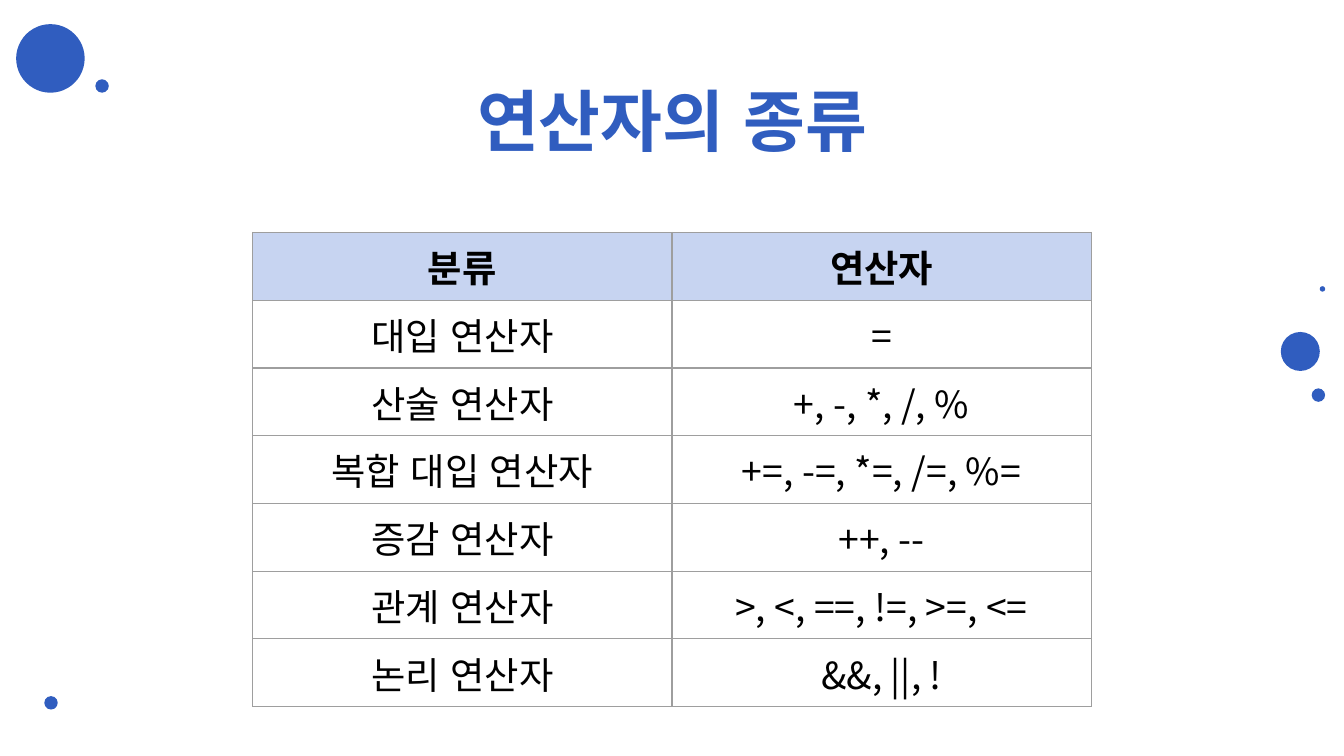
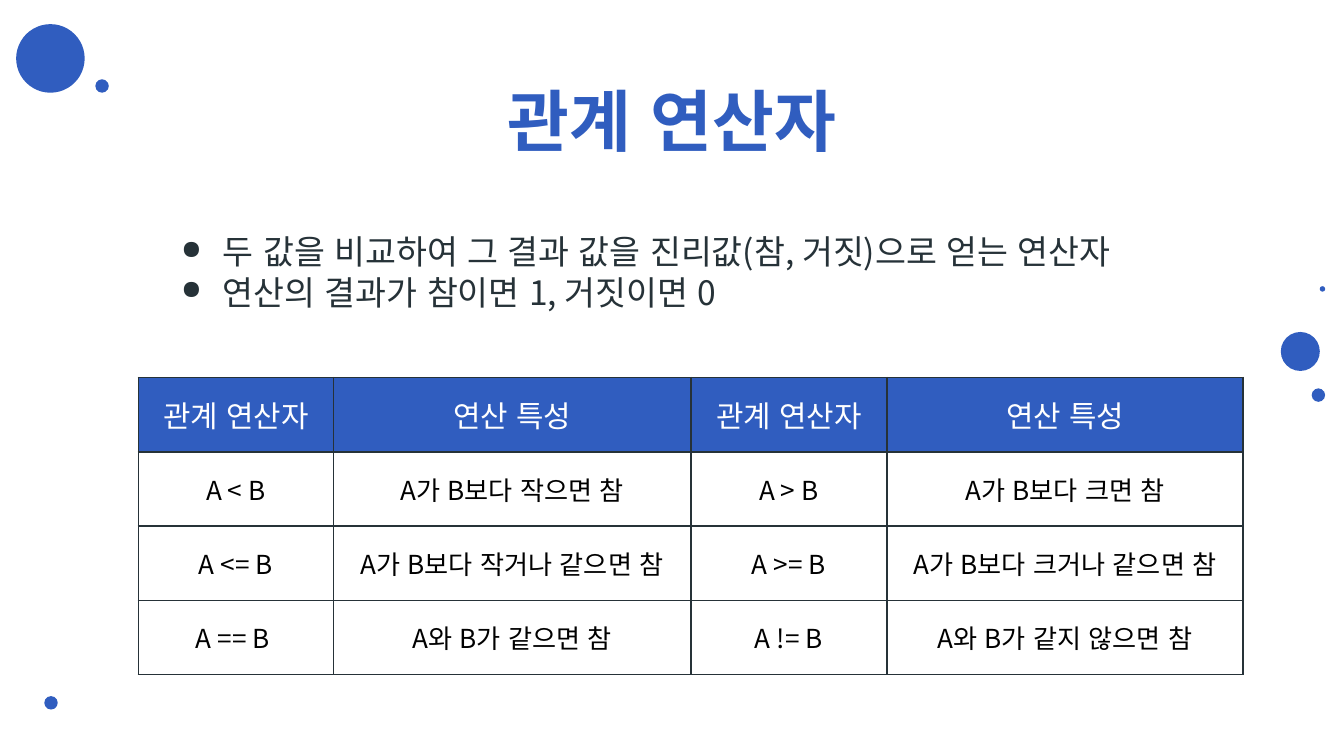
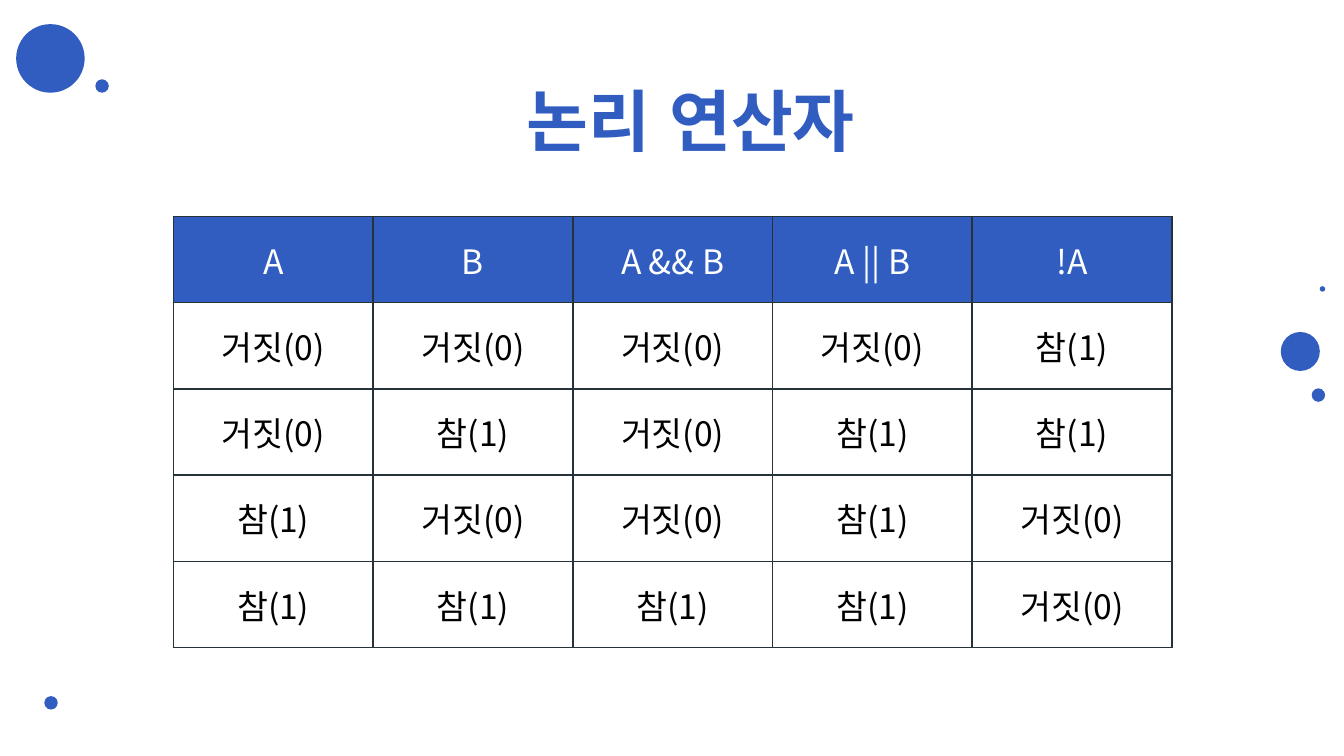
import lxml.etree
import pptx
import pptx.dml.color
import pptx.enum.shapes
import pptx.enum.text
import pptx.oxml
import pptx.oxml.ns
import pptx.util

Inches = pptx.util.Inches
RGB = pptx.dml.color.RGBColor
qn = pptx.oxml.ns.qn

BLUE = RGB(0x30, 0x5D, 0xBF)
PALE = RGB(0xC7, 0xD4, 0xF1)
GRAY = RGB(0x9E, 0x9E, 0x9E)
DARK = RGB(0x26, 0x32, 0x38)
BLACK = RGB(0, 0, 0)
WHITE = RGB(0xFF, 0xFF, 0xFF)
FONT = "Noto Sans CJK KR"
CENTER = pptx.enum.text.PP_ALIGN.CENTER
MIDDLE = pptx.enum.text.MSO_ANCHOR.MIDDLE
OVAL = pptx.enum.shapes.MSO_SHAPE.OVAL

DOTS = [
    (0.12, 0.18, 0.51),
    (0.71, 0.59, 0.1),
    (9.53, 2.47, 0.29),
    (9.76, 2.89, 0.1),
    (9.82, 2.13, 0.04),
    (0.33, 5.18, 0.1),
]


def style(para, size, color, bold=False):
    font = para.font
    font.name = FONT
    font.size = pptx.util.Pt(size)
    font.bold = bold
    font.color.rgb = color
    props = para._p.pPr.find(qn("a:defRPr"))
    props.set("lang", "ko")
    lxml.etree.SubElement(props, qn("a:ea"), typeface=FONT)


def add_text(slide, left, top, width, height, lines):
    frame = slide.shapes.add_textbox(
        Inches(left), Inches(top), Inches(width), Inches(height)).text_frame
    frame.word_wrap = True
    frame.margin_left = frame.margin_right = Inches(0.1)
    frame.margin_top = frame.margin_bottom = Inches(0.1)
    frame.text = "\n".join(lines)
    return frame.paragraphs


pages = [
    {
        "title": "연산자의 종류", "span": (0.75, 8.5), "notes": [],
        "at": (1.88, 1.73), "cols": [3.12] * 2, "tall": 3.53,
        "line": (GRAY, 0.75), "head": (20, BLACK, True, PALE), "size": 20,
        "rows": [
            ["분류", "연산자"],
            ["대입 연산자", "="],
            ["산술 연산자", "+, -, *, /, %"],
            ["복합 대입 연산자", "+=, -=, *=, /=, %="],
            ["증감 연산자", "++, --"],
            ["관계 연산자", ">, <, ==, !=, >=, <="],
            ["논리 연산자", "&&, ||, !"],
        ],
    },
    {
        "title": "관계 연산자", "span": (0.75, 8.5),
        "notes": [
            "두 값을 비교하여 그 결과 값을 진리값(참, 거짓)으로 얻는 연산자",
            "연산의 결과가 참이면 1, 거짓이면 0",
        ],
        "at": (1.03, 2.81), "cols": [1.45, 2.66, 1.46, 2.65], "tall": 2.21,
        "line": (DARK, 1), "head": (16, WHITE, False, BLUE), "size": 14,
        "rows": [
            ["관계 연산자", "연산 특성"] * 2,
            ["A < B", "A가 B보다 작으면 참", "A > B", "A가 B보다 크면 참"],
            ["A <= B", "A가 B보다 작거나 같으면 참", "A >= B", "A가 B보다 크거나 같으면 참"],
            ["A == B ", "A와 B가 같으면 참", "A != B", "A와 B가 같지 않으면 참"],
        ],
    },
    {
        "title": "논리 연산자", "span": (1.03, 8.22), "notes": [],
        "at": (1.29, 1.61), "cols": [7.43 / 5] * 5, "tall": 3.21,
        "line": (DARK, 1), "head": (18, WHITE, False, BLUE), "size": 18,
        "rows": [["A", "B", "A && B", "A || B", "!A"]] + [
            ["참(1)" if value else "거짓(0)"
             for value in (a, b, a and b, a or b, not a)]
            for a in (False, True) for b in (False, True)
        ],
    },
]

deck = pptx.Presentation()
deck.slide_width = Inches(10)
deck.slide_height = Inches(5.625)

for page in pages:
    slide = deck.slides.add_slide(deck.slide_layouts[6])
    for left, top, size in DOTS:
        dot = slide.shapes.add_shape(
            OVAL, Inches(left), Inches(top), Inches(size), Inches(size))
        dot.shadow.inherit = False
        dot.fill.solid()
        dot.fill.fore_color.rgb = BLUE
        dot.line.fill.background()

    left, width = page["span"]
    title = add_text(slide, left, 0.49, width, 0.63, [page["title"]])[0]
    title.alignment = CENTER
    style(title, 36, BLUE, True)

    if page["notes"]:
        for para in add_text(slide, 0.75, 1.62, 8.5, 3.52, page["notes"]):
            props = para._p.get_or_add_pPr()
            props.set("marL", str(Inches(0.81)))
            props.set("indent", str(Inches(-0.31)))
            tint = lxml.etree.SubElement(props, qn("a:buClr"))
            lxml.etree.SubElement(tint, qn("a:srgbClr"), val=str(DARK))
            lxml.etree.SubElement(props, qn("a:buSzPct"), val="78000")
            lxml.etree.SubElement(props, qn("a:buChar"), char="●")
            style(para, 18, DARK)

    rows, cols = page["rows"], page["cols"]
    left, top = page["at"]
    table = slide.shapes.add_table(
        len(rows), len(cols), Inches(left), Inches(top),
        Inches(sum(cols)), Inches(page["tall"])).table
    table.horz_banding = False
    for col, width in zip(table.columns, cols):
        col.width = Inches(width)
    color, weight = page["line"]
    for r, texts in enumerate(rows):
        table.rows[r].height = Inches(page["tall"] / len(rows))
        for c, text in enumerate(texts):
            cell = table.cell(r, c)
            cell.text = text
            cell.vertical_anchor = MIDDLE
            para = cell.text_frame.paragraphs[0]
            para.alignment = CENTER
            props = cell._tc.get_or_add_tcPr()
            for side in ("lnL", "lnR", "lnT", "lnB"):
                edge = lxml.etree.SubElement(
                    props, qn("a:" + side), w=str(pptx.util.Pt(weight)))
                paint = lxml.etree.SubElement(edge, qn("a:solidFill"))
                lxml.etree.SubElement(paint, qn("a:srgbClr"), val=str(color))
            if r == 0:
                size, ink, bold, fill = page["head"]
                style(para, size, ink, bold)
                cell.fill.solid()
                cell.fill.fore_color.rgb = fill
            else:
                style(para, page["size"], BLACK)
                cell.fill.background()

deck.save("out.pptx")
